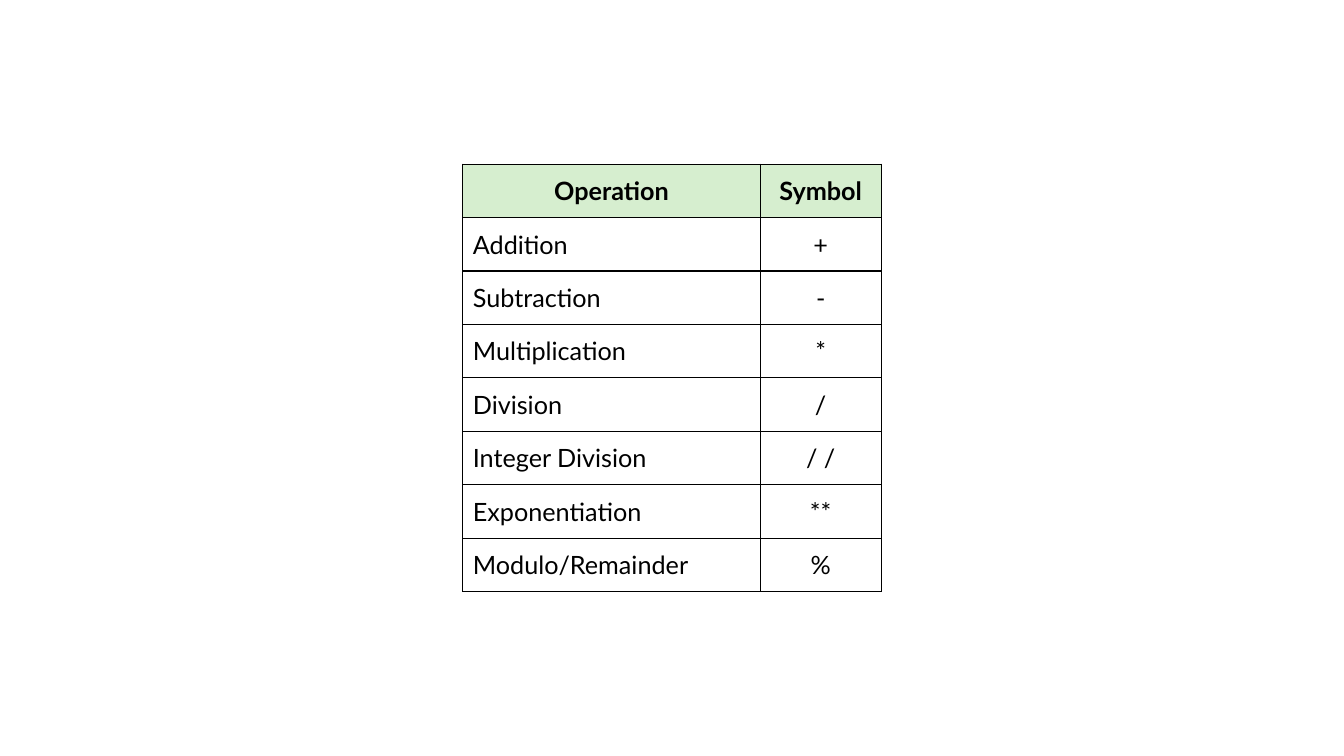
from lxml import etree
from pptx import Presentation
from pptx.dml.color import RGBColor
from pptx.enum.text import MSO_ANCHOR, PP_ALIGN
from pptx.oxml.ns import qn
from pptx.util import Inches, Pt

MIDDLE = MSO_ANCHOR.MIDDLE
LEFT, CENTER = PP_ALIGN.LEFT, PP_ALIGN.CENTER

BLACK = RGBColor(0x00, 0x00, 0x00)
WHITE = RGBColor(0xFF, 0xFF, 0xFF)
LIGHT_GREEN = RGBColor(0xD6, 0xEE, 0xCF)

# Shares of the slide's size, in percent
COLUMN_WIDTHS = (22.13, 9)
ROW_HEIGHT = 7.07

OPERATIONS = [
    ("Operation", "Symbol"),
    ("Addition", "+"),
    ("Subtraction", "-"),
    ("Multiplication", "*"),
    ("Division", "/"),
    ("Integer Division", "/ /"),
    ("Exponentiation", "**"),
    ("Modulo/Remainder", "%"),
]


class SlideBuilder:
    font = "Lato"
    size = Pt(18)
    border = Pt(1)

    def __init__(self, prs):
        self.width, self.height = prs.slide_width, prs.slide_height
        self.slide = prs.slides.add_slide(prs.slide_layouts[6])

    def add_centered_table(self, rows, column_widths, row_height):
        """Add a table in the middle of the slide; lengths are percentages."""
        widths = [int(self.width * share / 100) for share in column_widths]
        height = int(self.height * row_height / 100)
        total_width, total_height = sum(widths), height * len(rows)
        left = (self.width - total_width) // 2
        top = (self.height - total_height) // 2
        table = self.slide.shapes.add_table(
            len(rows), len(widths), left, top, total_width, total_height
        ).table
        for column, width in zip(table.columns, widths):
            column.width = width
        for i, texts in enumerate(rows):
            table.rows[i].height = height
            for j, text in enumerate(texts):
                self.style_cell(table.cell(i, j), text, i == 0, j == 0)

    def style_cell(self, cell, text, is_header, is_name):
        self.add_borders(cell)
        cell.fill.solid()
        cell.fill.fore_color.rgb = LIGHT_GREEN if is_header else WHITE
        cell.vertical_anchor = MIDDLE
        cell.text_frame.text = text
        p = cell.text_frame.paragraphs[0]
        p.alignment = LEFT if is_name and not is_header else CENTER
        font = p.runs[0].font
        font.name, font.size, font.bold = self.font, self.size, is_header
        font.color.rgb = BLACK

    def add_borders(self, cell):
        tc_pr = cell._tc.get_or_add_tcPr()
        for side in ("lnL", "lnR", "lnT", "lnB"):
            line = etree.SubElement(tc_pr, qn(f"a:{side}"), w=str(self.border))
            fill = etree.SubElement(line, qn("a:solidFill"))
            etree.SubElement(fill, qn("a:srgbClr"), val=str(BLACK))


def main():
    prs = Presentation()
    prs.slide_width, prs.slide_height = Inches(13.33), Inches(7.5)
    builder = SlideBuilder(prs)
    builder.add_centered_table(OPERATIONS, COLUMN_WIDTHS, ROW_HEIGHT)
    prs.save("out.pptx")


if __name__ == "__main__":
    main()
